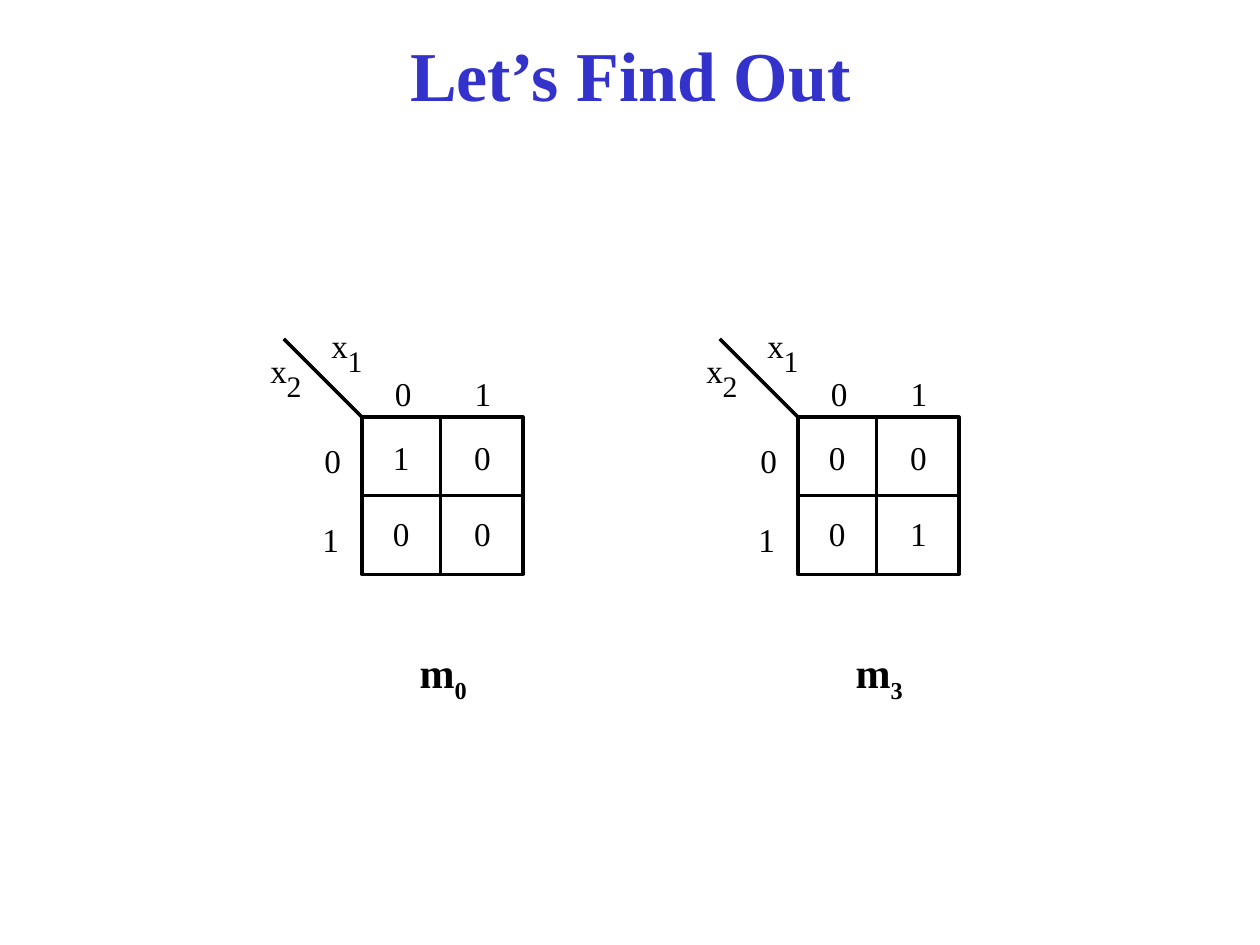
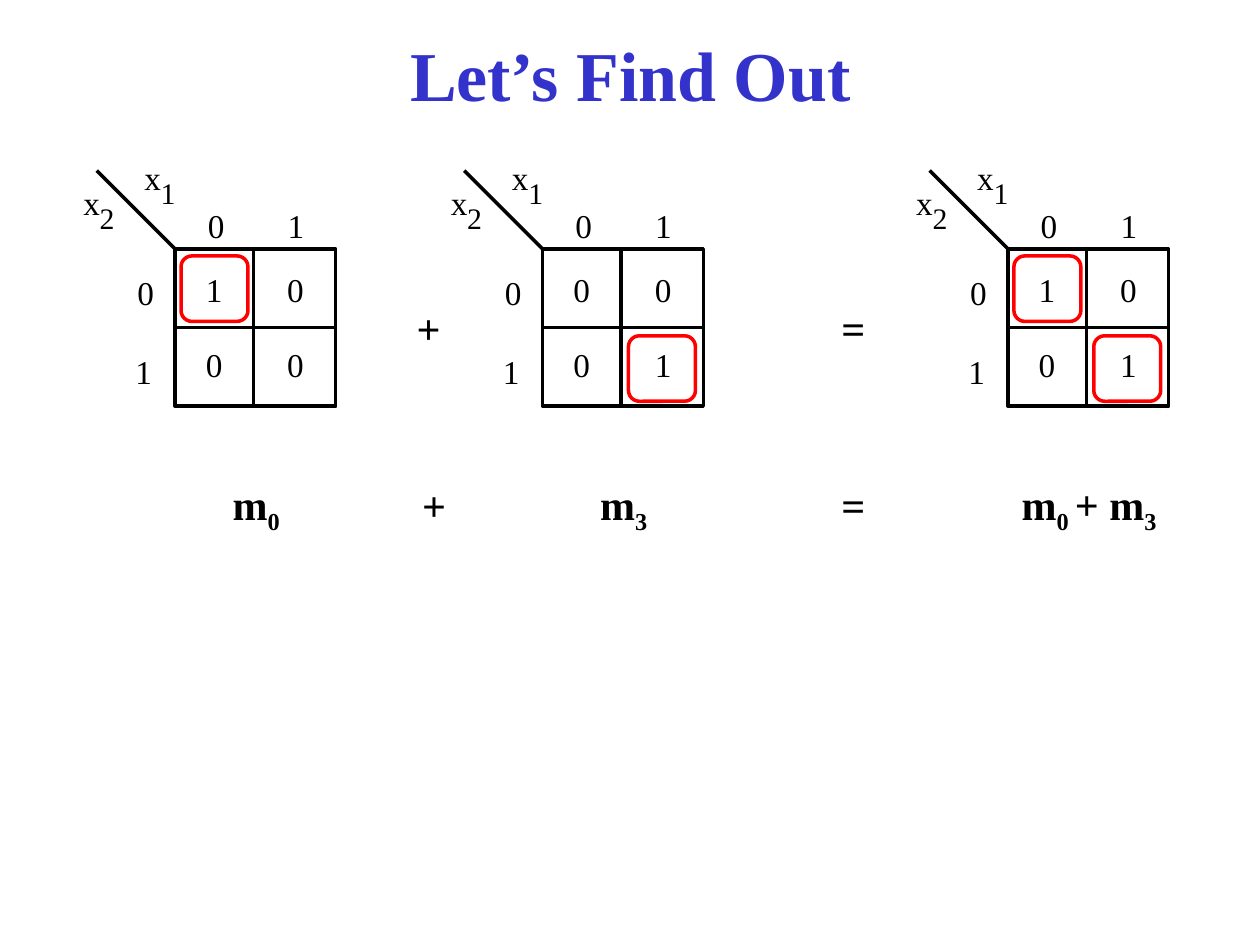
from lxml.etree import SubElement
from pptx import Presentation
from pptx.dml.color import RGBColor
from pptx.enum.shapes import MSO_CONNECTOR, MSO_SHAPE
from pptx.enum.text import MSO_ANCHOR, MSO_AUTO_SIZE, PP_ALIGN
from pptx.oxml.ns import qn
from pptx.util import Cm, Pt

BLACK = RGBColor(0x00, 0x00, 0x00)
WHITE = RGBColor(0xFF, 0xFF, 0xFF)
TITLE_BLUE = RGBColor(0x33, 0x33, 0xCC)
MARK_RED = RGBColor(0xFF, 0x00, 0x00)
FONT = "Times New Roman"
LINE_WIDTH = Pt(2)

MAP_WIDTH, MAP_HEIGHT = 3.24, 3.17
HALF = 1.58
DIGIT_LEFTS, DIGIT_TOPS = (0.62, 2.26), (0.41, 1.93)
MARK_WIDTH, MARK_HEIGHT, MARK_PITCH = 1.35, 1.32, 1.61


def add_text(slide, text, left, top, width, height, size=24, bold=True,
             color=BLACK, align=PP_ALIGN.LEFT, anchor=MSO_ANCHOR.TOP,
             tight=False, grow=True):
    """Add a text box in which every second piece between bars is a subscript."""
    box = slide.shapes.add_textbox(Cm(left), Cm(top), Cm(width), Cm(height))
    frame = box.text_frame
    frame.word_wrap = not tight
    frame.auto_size = MSO_AUTO_SIZE.SHAPE_TO_FIT_TEXT if grow else MSO_AUTO_SIZE.NONE
    frame.vertical_anchor = anchor
    if tight:
        frame.margin_left = frame.margin_right = 0
        frame.margin_top = frame.margin_bottom = 0
    paragraph = frame.paragraphs[0]
    paragraph.alignment = align
    for index, piece in enumerate(text.split("|")):
        run = paragraph.add_run()
        run.text = piece
        run.font.name = FONT
        run.font.size = Pt(size)
        run.font.bold = bold
        run.font.color.rgb = color
        if index % 2:
            run.font._element.set("baseline", "-25000")


def add_label(slide, text, left, top, width=0.51, height=0.81, size=19):
    """Add a small unwrapped label without margins."""
    add_text(slide, text, left, top, width, height, size=size, bold=False, tight=True)


def add_line(slide, start, end):
    """Draw a plain black line between two points."""
    line = slide.shapes.add_connector(MSO_CONNECTOR.STRAIGHT, *map(Cm, start + end))
    line.line.color.rgb = BLACK
    line.line.width = LINE_WIDTH
    SubElement(line._element.spPr, qn("a:effectLst"))


def add_outline(slide, kind, left, top, width, height, color, fill=None):
    """Draw an outlined shape, hollow unless a fill is given."""
    outline = slide.shapes.add_shape(kind, Cm(left), Cm(top), Cm(width), Cm(height))
    outline.shadow.inherit = False
    outline.line.color.rgb = color
    outline.line.width = LINE_WIDTH
    if fill is None:
        outline.fill.background()
    else:
        outline.fill.solid()
        outline.fill.fore_color.rgb = fill


def add_variable(slide, index, left, top):
    """Write x with its lowered index."""
    add_label(slide, "x", left, top, 0.46)
    add_label(slide, index, left + 0.33, top + 0.36, 0.46, 0.71, size=17)


def add_karnaugh_map(slide, left, top, rows, caption, marked=()):
    """Build a two-variable map whose grid starts at the given corner."""
    add_outline(slide, MSO_SHAPE.RECTANGLE, left, top, MAP_WIDTH, MAP_HEIGHT,
                BLACK, fill=WHITE)
    add_line(slide, (left, top + HALF), (left + MAP_WIDTH, top + HALF))
    add_line(slide, (left + HALF, top), (left + HALF, top + MAP_HEIGHT))
    add_line(slide, (left - HALF, top - HALF), (left, top))
    add_variable(slide, "2", left - 1.85, top - 1.35)
    add_variable(slide, "1", left - 0.62, top - 1.85)
    for digit, column_left, row_left, row_top in zip(
            "01", (0.66, 2.27), (-0.76, -0.8), (0.46, 2.06)):
        add_label(slide, digit, left + column_left, top - 0.89)
        add_label(slide, digit, left + row_left, top + row_top)
    for row, digit_top in zip(rows, DIGIT_TOPS):
        for digit, digit_left in zip(row, DIGIT_LEFTS):
            add_label(slide, digit, left + digit_left, top + digit_top, 0.36)
    for row, column in marked:
        add_outline(slide, MSO_SHAPE.ROUNDED_RECTANGLE,
                    left + 0.12 + column * MARK_PITCH, top + 0.14 + row * MARK_PITCH,
                    MARK_WIDTH, MARK_HEIGHT, MARK_RED)
    add_text(slide, caption, left - 0.51, top + 4.5, 4.29, 1.3, align=PP_ALIGN.CENTER)


def add_titled_slide(deck, title):
    """Add a blank slide with the shared title style."""
    slide = deck.slides.add_slide(deck.slide_layouts[6])
    add_text(slide, title, 0.64, 0.64, 24.13, 1.7, size=40, color=TITLE_BLUE,
             align=PP_ALIGN.CENTER, anchor=MSO_ANCHOR.MIDDLE, grow=False)
    return slide


def build_minterms(deck):
    """Show the maps of the two minterms."""
    slide = add_titled_slide(deck, "Let’s Find Out")
    add_karnaugh_map(slide, 7.3, 8.41, ("10", "00"), "m|0")
    add_karnaugh_map(slide, 16.09, 8.41, ("00", "01"), "m|3")


def build_sum(deck):
    """Show the two minterm maps adding up to a third."""
    slide = add_titled_slide(deck, "Let’s Find Out")
    top = 5.02
    add_karnaugh_map(slide, 3.53, top, ("10", "00"), "m|0", [(0, 0)])
    add_karnaugh_map(slide, 10.94, top, ("00", "01"), "m|3", [(1, 1)])
    add_karnaugh_map(slide, 20.32, top, ("10", "01"), "m|0 |+ m|3", [(0, 0), (1, 1)])
    for sign, map_left, caption_left in (("+", 8.15, 8.26), ("=", 16.71, 16.71)):
        add_text(slide, sign, map_left, top + 0.95, 0.74, 1.28)
        add_text(slide, sign, caption_left, top + 4.53, 0.74, 1.28)


def main():
    """Build and save the deck."""
    deck = Presentation()
    deck.slide_width, deck.slide_height = Cm(25.4), Cm(19.05)
    build_minterms(deck)
    build_sum(deck)
    deck.save("out.pptx")


if __name__ == "__main__":
    main()
